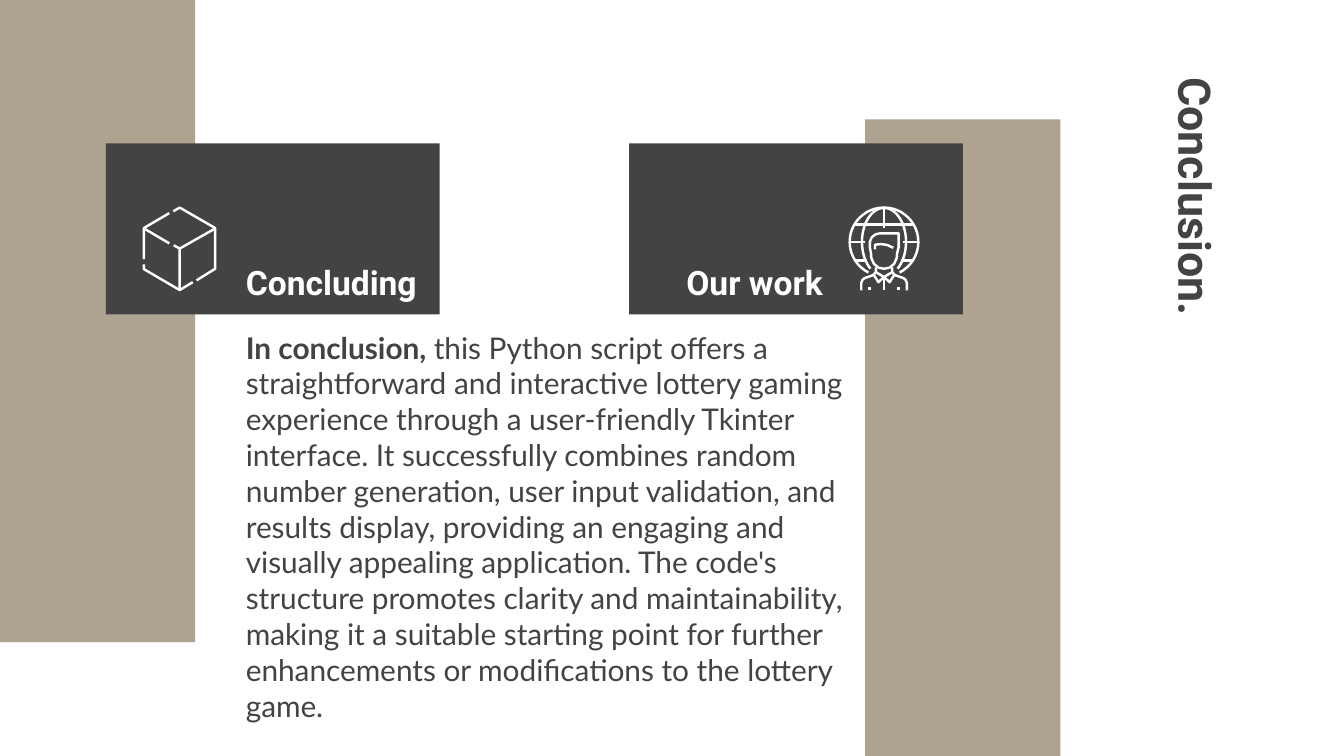
import math

import pptx
import pptx.dml.color
import pptx.enum.shapes
import pptx.enum.text
import pptx.oxml.ns
import pptx.util
from lxml import etree

Pt = pptx.util.Pt
ALIGN = pptx.enum.text.PP_ALIGN
ANCHOR = pptx.enum.text.MSO_ANCHOR
DARK, TAN, WHITE = "434343", "908269", "FFFFFF"
STEPS_PER_POINT = 100


def colour(hex_string):
    return pptx.dml.color.RGBColor.from_string(hex_string)


def apply(target, values):
    for name, value in values.items():
        setattr(target, name, value)


def arc(radius_x, radius_y, gap):
    angles = [math.radians(gap + (360 - 2 * gap) * step / 40) for step in range(41)]
    return [(-radius_x * math.sin(a), radius_y * math.cos(a)) for a in angles]


def mirror(stroke):
    return [(-x, y) for x, y in stroke]


class SlideBuilder:
    text_frame_format = {
        "word_wrap": True,
        "auto_size": pptx.enum.text.MSO_AUTO_SIZE.NONE,
        "margin_left": Pt(7.2),
        "margin_right": Pt(7.2),
        "margin_top": Pt(7.2),
        "margin_bottom": Pt(7.2),
    }
    stroke_width = 1.3

    def __init__(self, presentation):
        self.slide = presentation.slides.add_slide(presentation.slide_layouts[6])

    def panel(self, left, top, width, height, fill, opacity=100):
        shape = self.slide.shapes.add_shape(
            pptx.enum.shapes.MSO_SHAPE.RECTANGLE, Pt(left), Pt(top), Pt(width), Pt(height)
        )
        shape.shadow.inherit = False
        shape.line.fill.background()
        shape.fill.solid()
        shape.fill.fore_color.rgb = colour(fill)
        if opacity < 100:
            qn = pptx.oxml.ns.qn
            fill_colour = shape.fill._xPr.find(qn("a:solidFill")).find(qn("a:srgbClr"))
            etree.SubElement(fill_colour, qn("a:alpha"), val=str(opacity * 1000))

    def text(self, left, top, width, height, runs, size, font, ink,
             anchor=ANCHOR.TOP, align=ALIGN.LEFT, rotation=0):
        shape = self.slide.shapes.add_textbox(Pt(left), Pt(top), Pt(width), Pt(height))
        shape.rotation = rotation
        apply(shape.text_frame, {**self.text_frame_format, "vertical_anchor": anchor})
        paragraph = shape.text_frame.paragraphs[0]
        paragraph.alignment = align
        for words, bold in runs:
            run = paragraph.add_run()
            run.text = words
            apply(run.font, {"size": Pt(size), "name": font, "bold": bold})
            run.font.color.rgb = colour(ink)

    def icon(self, centre_x, centre_y, parts):
        group = self.slide.shapes.add_group_shape()
        for strokes in parts:
            scaled = [[(x * STEPS_PER_POINT, y * STEPS_PER_POINT) for x, y in stroke]
                      for stroke in strokes]
            builder = group.shapes.build_freeform(*scaled[0][0], scale=Pt(1) / STEPS_PER_POINT)
            builder.add_line_segments(scaled[0][1:], close=False)
            for stroke in scaled[1:]:
                builder.move_to(*stroke[0])
                builder.add_line_segments(stroke[1:], close=False)
            shape = builder.convert_to_shape(Pt(centre_x), Pt(centre_y))
            shape.shadow.inherit = False
            shape.fill.background()
            shape.line.color.rgb = colour(WHITE)
            shape.line.width = Pt(self.stroke_width)


CUBE = [
    [
        [(-3.4, -20), (0, -22), (19, -11), (19, 10.8), (9, 17)],
        [(19, -10.8), (0, 0), (0, 22.2)],
        [(7, 18), (0, 22.2), (-19.2, 11), (-19.2, 8.4)],
        [(-3.2, -1.8), (0, 0)],
    ],
    [
        [(-5.6, -19), (-19.2, -11), (-19.2, 5.6)],
        [(-19.2, -10.8), (-5.6, -2.8)],
    ],
]

GLOBE_SIDE = [
    [(-18.2, 0), (-10.4, 0)],
    [(-15.4, 10), (-9, 10)],
]
GLOBE = [
    arc(18.4, 18.4, 27),
    arc(11.8, 18.2, 38),
    [(-15.4, -9.4), (15.4, -9.4)],
    [(0, -18), (0, -7.2)],
    *GLOBE_SIDE,
    *map(mirror, GLOBE_SIDE),
]

PERSON_SIDE = [
    [(-12.2, 26), (-12.2, 22), (-11.6, 20.4), (-10.4, 19.4), (-5.8, 17.8), (-4.4, 16.2), (-4.4, 13.6)],
    [(-5.4, 17.8), (-3, 21.6), (0, 18.8)],
    [(-4.4, 16.2), (0, 18.8)],
]
HEAD = [
    (7.8, -4.6), (-2.2, -4.6), (-4.6, -4), (-6.6, -2.4), (-7.6, 0), (-7.6, 3),
    (-7, 6), (-6.8, 8.6), (-5.4, 11.8), (-3, 13.8), (0, 14.4), (3, 13.8),
    (5.4, 11.8), (6.8, 8.6), (7, 6), (7.8, 3), (7.8, -4.6),
]
PERSON = [HEAD, *PERSON_SIDE, *map(mirror, PERSON_SIDE), [(0, 18.8), (0, 26)]]
FRINGE = [[(-4.8, 4), (-4.8, 1.5), (-1.6, 1.2), (1.6, 1.6), (5, 3.2)]]
BUTTON = [(-7.8, 24.4), (-7.8, 26)]

CONCLUSION = (
    "this Python script offers a straightforward and interactive lottery gaming experience "
    "through a user-friendly Tkinter interface. It successfully combines random number "
    "generation, user input validation, and results display, providing an engaging and "
    "visually appealing application. The code's structure promotes clarity and "
    "maintainability, making it a suitable starting point for further enhancements or "
    "modifications to the lottery game."
)


def main():
    presentation = pptx.Presentation()
    apply(presentation, {"slide_width": Pt(720), "slide_height": Pt(405)})
    builder = SlideBuilder(presentation)

    for band_left, band_top, card_left in ((463.5, 64, 337), (0, 0, 56.8)):
        builder.panel(band_left, band_top, 104.6, 344, TAN, opacity=73)
        builder.panel(card_left, 76.8, 178.8, 91.7, DARK)

    builder.text(544.3, 111.6, 193, 38.2, [("Conclusion.", True)], 24, "Roboto", DARK,
                 anchor=ANCHOR.MIDDLE, rotation=90)
    builder.icon(96.3, 133.2, CUBE)
    builder.icon(473.6, 129.6, [GLOBE, PERSON, FRINGE, [BUTTON, mirror(BUTTON)]])
    builder.text(124.6, 169.2, 337, 196.6, [("In conclusion, ", True), (CONCLUSION, False)],
                 16, "Lato", DARK)
    for left, heading, align in ((241.9, "Our work", ALIGN.RIGHT),
                                 (124.6, "Concluding", ALIGN.LEFT)):
        builder.text(left, 139, 206, 30.2, [(heading, True)], 18, "Roboto", WHITE,
                     anchor=ANCHOR.BOTTOM, align=align)

    presentation.save("out.pptx")


if __name__ == "__main__":
    main()
